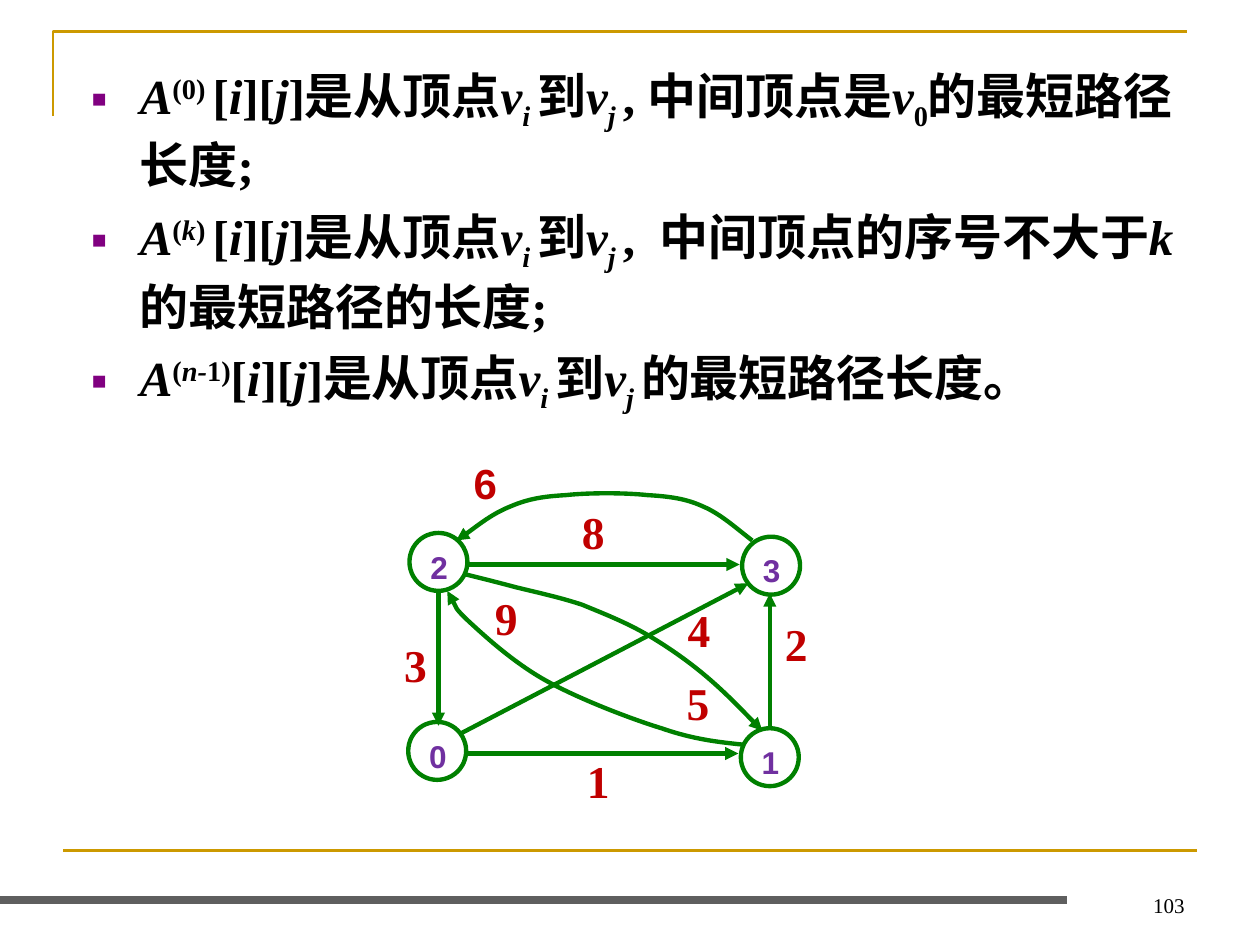
from itertools import chain
from typing import NamedTuple

from lxml.etree import SubElement
from pptx import Presentation
from pptx.dml.color import RGBColor
from pptx.enum.shapes import MSO_CONNECTOR, MSO_SHAPE
from pptx.enum.text import MSO_ANCHOR, MSO_AUTO_SIZE, PP_ALIGN
from pptx.oxml.ns import qn
from pptx.util import Inches, Pt

GOLD, GRAY, GREEN = "CC9900", "5F5F5F", "008000"
PURPLE, VIOLET, RED, BLACK = "800080", "7030A0", "C00000", "000000"
SERIF, SANS = "Times New Roman", "Arial"
SUP, SUB = 30000, -25000
NODE_SIZE = 0.46


class Span(NamedTuple):
    text: str
    italic: bool = False
    baseline: int = 0


class Node(NamedTuple):
    name: str
    x: float
    y: float


class Edge(NamedTuple):
    start: tuple[float, float]
    end: tuple[float, float]


class Weight(NamedTuple):
    text: str
    x: float
    y: float
    font: str = SERIF
    size: int = 26


ENTRY = [Span("["), Span("i", True), Span("]["), Span("j", True), Span("]是从顶点"),
         Span("v", True), Span("i ", True, SUB), Span("到"),
         Span("v", True), Span("j ", True, SUB)]
BULLETS = [
    [Span("A", True), Span("(0) ", False, SUP), *ENTRY, Span(", 中间顶点是"),
     Span("v", True), Span("0", False, SUB), Span("的最短路径长度;")],
    [Span("A", True), Span("(", False, SUP), Span("k", True, SUP), Span(") ", False, SUP),
     *ENTRY, Span(",  中间顶点的序号不大于"), Span("k", True), Span("的最短路径的长度;")],
    [Span("A", True), Span("(", False, SUP), Span("n-", True, SUP), Span("1)", False, SUP),
     *ENTRY, Span("的最短路径长度。")],
]
NODES = [Node("2", 3.25, 4.23), Node("0", 3.24, 5.73),
         Node("3", 5.89, 4.26), Node("1", 5.88, 5.78)]
EDGES = [
    Edge((3.66, 5.82), (5.94, 4.63)),
    Edge((3.48, 4.71), (3.48, 5.76)),
    Edge((3.71, 4.48), (5.87, 4.48)),
    Edge((3.71, 5.98), (5.86, 5.98)),
    Edge((6.11, 5.78), (6.11, 4.71)),
]
# Each curve: its start, then two control points and an end for every Bézier piece.
CURVES = [
    [(5.97, 4.29), (5.84, 4.19), (5.72, 4.08), (5.58, 4.02), (5.45, 3.96), (5.32, 3.94),
     (5.14, 3.93), (4.96, 3.91), (4.67, 3.91), (4.49, 3.93), (4.31, 3.94), (4.19, 3.96),
     (4.05, 4.02), (3.9, 4.08), (3.69, 4.25), (3.62, 4.29)],
    [(3.7, 4.56), (3.82, 4.59), (3.94, 4.62), (4.09, 4.66), (4.25, 4.7), (4.44, 4.74),
     (4.62, 4.8), (4.79, 4.87), (4.97, 4.94), (5.14, 5.04), (5.31, 5.14), (5.48, 5.26),
     (5.63, 5.39), (5.78, 5.52), (5.98, 5.73), (6.05, 5.8)],
    [(5.9, 5.91), (5.71, 5.89), (5.51, 5.87), (5.25, 5.78), (4.99, 5.7), (4.58, 5.54),
     (4.33, 5.4), (4.08, 5.26), (3.86, 5.06), (3.73, 4.94), (3.6, 4.82), (3.58, 4.73),
     (3.55, 4.69)],
]
WEIGHTS = [
    Weight("6", 3.66, 3.58, SANS, 24), Weight("8", 4.52, 3.95), Weight("5", 5.35, 5.31),
    Weight("4", 5.36, 4.73), Weight("9", 3.83, 4.63), Weight("2", 6.13, 4.84),
    Weight("3", 3.11, 5.01), Weight("1", 4.56, 5.93),
]


def rgb(color: str) -> RGBColor:
    return RGBColor.from_string(color)


def add_run(p, text: str, font: str, size: float, color: str, bold: bool = True):
    r = p.add_run()
    r.text = text
    r.font.name, r.font.size, r.font.bold = font, Pt(size), bold
    r.font.color.rgb = rgb(color)
    return r


def style_line(sp, color: str, width: float, arrow: bool = False) -> None:
    sp.line.color.rgb = rgb(color)
    sp.line.width = Pt(width)
    if arrow:
        SubElement(sp.line._get_or_add_ln(), qn("a:tailEnd"), type="triangle")


def add_line(s, edge: Edge, color: str, width: float, arrow: bool = False) -> None:
    ends = [Inches(v) for v in chain(edge.start, edge.end)]
    sp = s.shapes.add_connector(MSO_CONNECTOR.STRAIGHT, *ends)
    style_line(sp, color, width, arrow)
    SubElement(sp._element.spPr, qn("a:effectLst"))


def add_path(s, points: list, color: str, width: float, arrow: bool = False):
    """Draw an open, unfilled outline through the points."""
    start, *rest = [(Inches(x), Inches(y)) for x, y in points]
    builder = s.shapes.build_freeform(*start)
    builder.add_line_segments(rest, close=False)
    sp = builder.convert_to_shape()
    sp.fill.background()
    sp.shadow.inherit = False
    style_line(sp, color, width, arrow)
    return sp


def add_curve(s, points: list) -> None:
    """Draw an arrow whose points are taken in threes as cubic Bézier pieces."""
    sp = add_path(s, points, GREEN, 2.5, arrow=True)
    path = next(sp._element.iter(qn("a:path")))
    segments = path.findall(qn("a:lnTo"))
    for i in range(0, len(segments), 3):
        bezier = SubElement(path, qn("a:cubicBezTo"))
        for segment in segments[i:i + 3]:
            bezier.append(segment[0])
            path.remove(segment)


def add_node(s, node: Node) -> None:
    sp = s.shapes.add_shape(MSO_SHAPE.OVAL, Inches(node.x), Inches(node.y),
                            Inches(NODE_SIZE), Inches(NODE_SIZE))
    sp.fill.background()
    sp.shadow.inherit = False
    style_line(sp, GREEN, 2.5)
    tf = sp.text_frame
    tf.vertical_anchor = MSO_ANCHOR.TOP
    tf.paragraphs[0].alignment = PP_ALIGN.LEFT
    add_run(tf.paragraphs[0], node.name, SANS, 18, VIOLET)


def add_weight(s, weight: Weight) -> None:
    sp = s.shapes.add_textbox(Inches(weight.x), Inches(weight.y), Inches(0.38), Inches(0.54))
    sp.text_frame.word_wrap = False
    add_run(sp.text_frame.paragraphs[0], weight.text, weight.font, weight.size, RED)


def add_page_number(s, number: str) -> None:
    sp = s.shapes.add_textbox(Inches(7.17), Inches(6.83), Inches(2.33), Inches(0.5))
    tf = sp.text_frame
    tf.word_wrap = True
    tf.vertical_anchor = MSO_ANCHOR.BOTTOM
    tf.paragraphs[0].alignment = PP_ALIGN.RIGHT
    add_run(tf.paragraphs[0], number, SERIF, 12, BLACK, bold=False)


def set_bullet(p) -> None:
    pPr = p._p.get_or_add_pPr()
    pPr.set("marL", str(Inches(0.38)))
    pPr.set("indent", str(-Inches(0.38)))
    SubElement(SubElement(pPr, qn("a:buClr")), qn("a:srgbClr"), val=PURPLE)
    SubElement(pPr, qn("a:buSzPct"), val="50000")
    SubElement(pPr, qn("a:buFont"), typeface=SANS)
    SubElement(pPr, qn("a:buChar"), char="■")


def fill_body(body) -> None:
    body.left, body.top = Inches(0.63), Inches(0.44)
    body.width, body.height = Inches(8.94), Inches(6.23)
    tf = body.text_frame
    tf.auto_size = MSO_AUTO_SIZE.NONE
    for i, spans in enumerate(BULLETS):
        p = tf.add_paragraph() if i else tf.paragraphs[0]
        p.line_spacing, p.space_before = 1.05, Pt(5.2)
        set_bullet(p)
        for span in spans:
            r = add_run(p, span.text, SERIF, 28, BLACK)
            r.font.italic = span.italic
            if span.baseline:
                r.font._element.set("baseline", str(span.baseline))


def main() -> None:
    prs = Presentation()
    prs.slide_width, prs.slide_height = Inches(10), Inches(7.5)
    s = prs.slides.add_slide(prs.slide_layouts[1])
    title = s.shapes.title._element
    title.getparent().remove(title)
    add_path(s, [(0.42, 0.92), (0.42, 0.25), (9.42, 0.25)], GOLD, 1.5)
    add_line(s, Edge((0.5, 6.75), (9.5, 6.75)), GOLD, 1.5)
    add_line(s, Edge((0, 7.14), (8.47, 7.14)), GRAY, 4.5)
    add_page_number(s, "103")
    fill_body(s.placeholders[1])
    for node in NODES:
        add_node(s, node)
    for edge in EDGES:
        add_line(s, edge, GREEN, 2.5, arrow=True)
    for curve in CURVES:
        add_curve(s, curve)
    for weight in WEIGHTS:
        add_weight(s, weight)
    prs.save("out.pptx")


if __name__ == "__main__":
    main()
